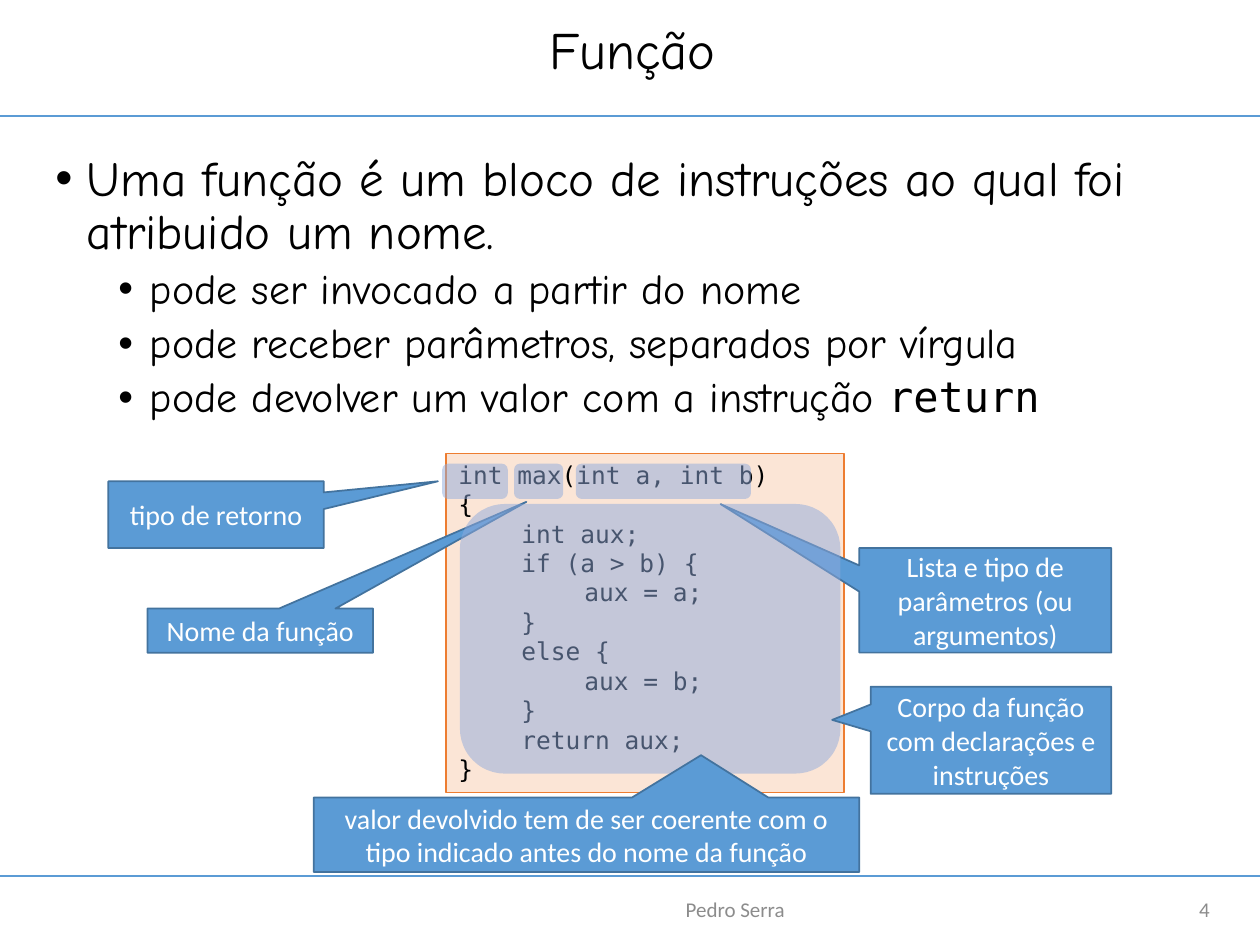
from lxml import etree
from pptx import Presentation
from pptx.dml.color import RGBColor
from pptx.enum.shapes import MSO_CONNECTOR, MSO_SHAPE
from pptx.enum.text import MSO_ANCHOR, MSO_AUTO_SIZE, PP_ALIGN
from pptx.oxml.ns import qn
from pptx.util import Inches, Pt

LEFT, CENTER, RIGHT = PP_ALIGN.LEFT, PP_ALIGN.CENTER, PP_ALIGN.RIGHT
TOP, MIDDLE = MSO_ANCHOR.TOP, MSO_ANCHOR.MIDDLE
RECT, ROUND = MSO_SHAPE.RECTANGLE, MSO_SHAPE.ROUNDED_RECTANGLE
CALLOUT = MSO_SHAPE.RECTANGULAR_CALLOUT
STRAIGHT = MSO_CONNECTOR.STRAIGHT
NO_FIT, GROW = MSO_AUTO_SIZE.NONE, MSO_AUTO_SIZE.SHAPE_TO_FIT_TEXT

HAND, SANS, MONO = "Comic Neue", "Calibri", "DejaVu Sans Mono"
BLACK, WHITE, GRAY = "000000", "FFFFFF", "8C8C8C"
BLUE, EDGE, VEIL = "5B9BD5", "43739E", "8FAADC"
PEACH, ORANGE = "FBE5D6", "ED7D31"

POINTS = [
    (0, "Uma função é um bloco de instruções ao qual foi atribuido um nome.", ""),
    (1, "pode ser invocado a partir do nome", ""),
    (1, "pode receber parâmetros, separados por vírgula", ""),
    (1, "pode devolver um valor com a instrução ", "return"),
]
# Per level: text size, left margin, space before
LEVELS = [(28, 0.25, 10), (24, 0.75, 5)]

CODE = """int max(int a, int b)
{
\tint aux;
\tif (a > b) {
\t\taux = a;
\t}
\telse {
\t\taux = b;
\t}
\treturn aux;
}"""

# Box, tail tip relative to the box centre, text
HEAD_NOTES = [
    ((0.86, 3.82, 1.71, 0.53), (1.03, -0.5), "tipo de retorno"),
    ((6.82, 4.35, 2, 0.83), (-1.05, -0.92),
     "Lista e tipo de parâmetros (ou argumentos)"),
    ((1.17, 4.83, 1.79, 0.35), (1.18, -2.92), "Nome da função"),
]
BODY_NOTES = [
    ((6.91, 5.45, 1.91, 0.85), (-0.66, -0.19),
     "Corpo da função com declarações e instruções"),
    ((2.49, 6.33, 4.33, 0.59), (0.21, -1.07),
     "valor devolvido tem de ser coerente com o tipo indicado antes do nome da função"),
]
VEILS = [
    (3.51, 3.68, 0.52, 0.28),
    (4.57, 3.68, 1.39, 0.28),
    (4.08, 3.68, 0.39, 0.28),
    (3.65, 4, 3.02, 2.14),
]


def color(code):
    return RGBColor.from_string(code)


def place(shape, box):
    shape.left, shape.top, shape.width, shape.height = map(Inches, box)


def style(para, face, size, tint, align=LEFT):
    para.alignment = align
    para.font.name, para.font.size = face, Pt(size)
    para.font.color.rgb = color(tint)


def write(shape, text, face, size, tint, align, anchor=MIDDLE):
    frame = shape.text_frame
    frame.text = text
    frame.word_wrap = True
    frame.vertical_anchor = anchor
    for para in frame.paragraphs:
        style(para, face, size, tint, align)
    return frame


def add_rule(slide, y):
    rule = slide.shapes.add_connector(
        STRAIGHT, 0, Inches(y), Inches(10), Inches(y))
    rule.line.color.rgb, rule.line.width = color(BLUE), Pt(1.25)
    etree.SubElement(rule._element.spPr, qn("a:effectLst"))


def add_label(slide, box, text, align):
    label = slide.shapes.add_textbox(*map(Inches, box))
    write(label, text, SANS, 12, GRAY, align)


def add_shape(slide, kind, box, fill, edge=None, width=1):
    shape = slide.shapes.add_shape(kind, *map(Inches, box))
    shape.shadow.inherit = False
    shape.fill.solid()
    shape.fill.fore_color.rgb = color(fill)
    if edge:
        shape.line.color.rgb, shape.line.width = color(edge), Pt(width)
    else:
        shape.line.fill.background()
    return shape


def add_veil(slide, box):
    """Lay a half-transparent highlight over part of the code."""
    veil = add_shape(slide, ROUND, box, VEIL)
    tint = veil._element.spPr.find(".//" + qn("a:srgbClr"))
    etree.SubElement(tint, qn("a:alpha"), val="50000")


def add_note(slide, box, tip, text):
    note = add_shape(slide, CALLOUT, box, BLUE, EDGE)
    note.adjustments[0], note.adjustments[1] = tip
    write(note, text, SANS, 16, WHITE, CENTER)


def add_code(slide):
    panel = add_shape(slide, RECT, (3.54, 3.6, 3.16, 2.69), PEACH, ORANGE, 0.75)
    frame = write(panel, CODE, MONO, 14, BLACK, LEFT, TOP)
    frame.word_wrap = False
    frame.auto_size = GROW


def set_bullet(para, margin):
    props = para._p.get_or_add_pPr()
    props.set("marL", str(Inches(margin)))
    props.set("indent", str(Inches(-0.25)))
    etree.SubElement(props, qn("a:buFont"), typeface="Arial")
    etree.SubElement(props, qn("a:buChar"), char="•")


def fill_title(title):
    place(title, (0.34, 0, 9.36, 0.84))
    frame = write(title, "Função", HAND, 30, BLACK, CENTER)
    frame.auto_size = NO_FIT
    frame.paragraphs[0].line_spacing = 0.9


def fill_list(body):
    place(body, (0.34, 1.17, 9.36, 2.24))
    frame = body.text_frame
    frame.auto_size = NO_FIT
    for i, (level, text, code) in enumerate(POINTS):
        para = frame.add_paragraph() if i else frame.paragraphs[0]
        size, margin, gap = LEVELS[level]
        para.level = level
        para.line_spacing, para.space_before = 0.9, Pt(gap)
        set_bullet(para, margin)
        style(para, HAND, size, BLACK)
        para.add_run().text = text
        if code:
            run = para.add_run()
            run.text, run.font.name = code, MONO


def main():
    deck = Presentation()
    deck.slide_width, deck.slide_height = Inches(10), Inches(7.5)
    slide = deck.slides.add_slide(deck.slide_layouts[1])
    for y in (0.92, 6.95):
        add_rule(slide, y)
    fill_title(slide.shapes.title)
    fill_list(slide.placeholders[1])
    add_label(slide, (8.82, 7.08, 0.88, 0.27), "4", RIGHT)
    add_label(slide, (2.94, 7.08, 5.79, 0.27), "Pedro Serra", CENTER)
    add_code(slide)
    for note in HEAD_NOTES:
        add_note(slide, *note)
    for box in VEILS:
        add_veil(slide, box)
    for note in BODY_NOTES:
        add_note(slide, *note)
    deck.save("out.pptx")


if __name__ == "__main__":
    main()
